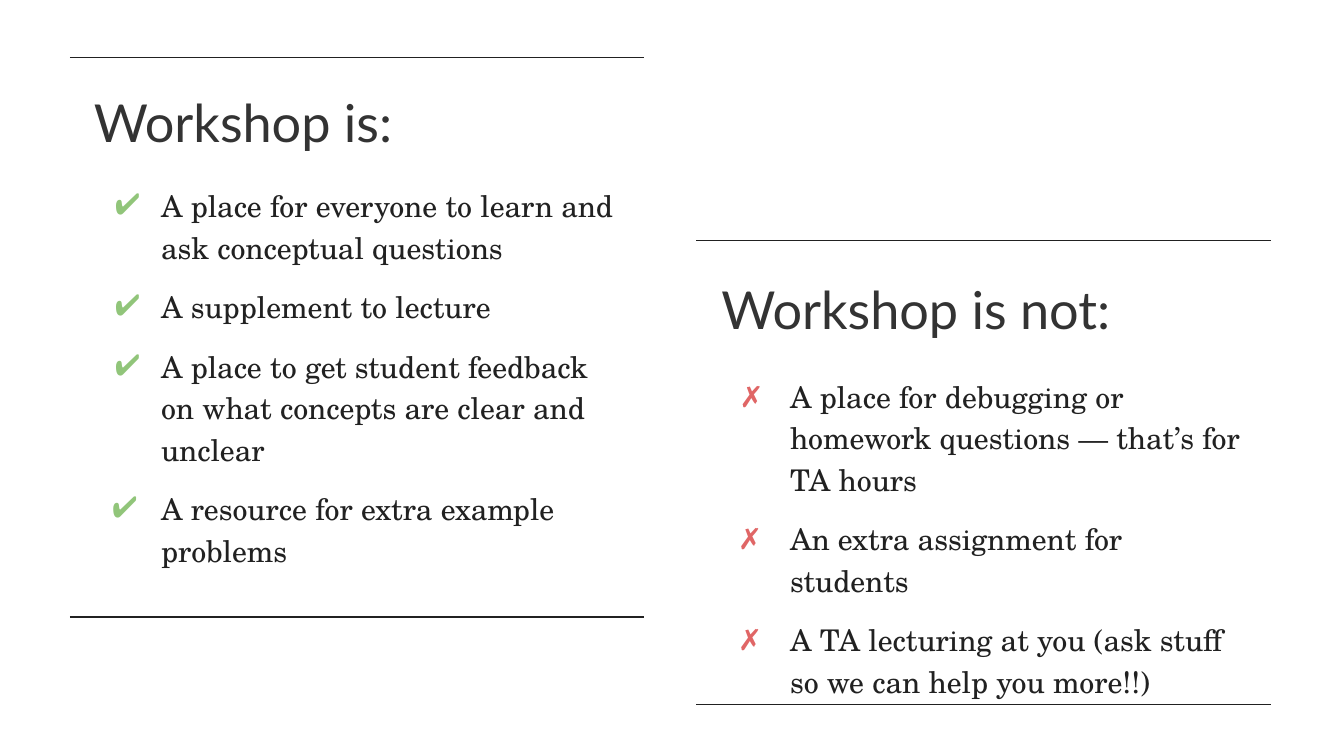
from lxml import etree
from pptx import Presentation
from pptx.dml.color import RGBColor
from pptx.enum.shapes import MSO_CONNECTOR
from pptx.enum.text import MSO_ANCHOR
from pptx.oxml.ns import qn
from pptx.util import Inches, Pt

INK = RGBColor(0x21, 0x21, 0x21)
HEADING = RGBColor(0x33, 0x33, 0x33)
GREEN = RGBColor(0x91, 0xC5, 0x7A)
RED = RGBColor(0xE0, 0x66, 0x66)

IS_ITEMS = [
    ("A place for everyone to learn and ask conceptual questions", 0.34),
    ("A supplement to lecture", 0.34),
    ("A place to get student feedback on what concepts are clear and unclear", 0.34),
    ("A resource for extra example problems", 0.36),
]
IS_NOT_ITEMS = [
    ("A place for debugging or homework questions — that’s for TA hours", 0.35),
    ("An extra assignment for students", 0.36),
    ("A TA lecturing at you (ask stuff so we can help you more!!)", 0.36),
]


def add_rule(slide, left, top, width):
    line = slide.shapes.add_connector(
        MSO_CONNECTOR.STRAIGHT,
        Inches(left), Inches(top), Inches(left + width), Inches(top),
    )
    line.line.color.rgb = INK
    line.line.width = Pt(0.75)
    etree.SubElement(line._element.spPr, qn("a:effectLst"))


def add_text_frame(slide, left, top, width, height):
    box = slide.shapes.add_textbox(Inches(left), Inches(top), Inches(width), Inches(height))
    text_frame = box.text_frame
    text_frame.word_wrap = True
    text_frame.vertical_anchor = MSO_ANCHOR.TOP
    text_frame.margin_left = text_frame.margin_right = Inches(0.1)
    text_frame.margin_top = text_frame.margin_bottom = Inches(0.1)
    return text_frame


def style_run(paragraph, name, size, color):
    font = paragraph.runs[0].font
    font.name = name
    font.size = Pt(size)
    font.color.rgb = color


def add_bullet(paragraph, mark, color, hanging):
    properties = paragraph._p.get_or_add_pPr()
    properties.set("marL", str(Inches(0.5)))
    properties.set("indent", str(-Inches(hanging)))
    bullet_color = etree.SubElement(properties, qn("a:buClr"))
    etree.SubElement(bullet_color, qn("a:srgbClr"), val=str(color))
    etree.SubElement(properties, qn("a:buSzPct"), val="125000")
    etree.SubElement(properties, qn("a:buChar"), char=mark)


def add_list(slide, box, items, mark, color):
    text_frame = add_text_frame(slide, *box)
    for index, (text, hanging) in enumerate(items):
        paragraph = text_frame.add_paragraph() if index else text_frame.paragraphs[0]
        paragraph.text = text
        add_bullet(paragraph, mark, color, hanging)
        paragraph.line_spacing = 1.15
        if index:
            paragraph.space_before = Pt(10)
        style_run(paragraph, "TeX Gyre Schola", 16, INK)


def add_panel(slide, box, title, title_offset, body_offset, body_width, items, mark, color):
    """Place a heading and a marked list between two rules; offsets are (x, y) from the top rule."""
    left, top, width, height = box
    add_rule(slide, left, top, width)
    add_rule(slide, left, top + height, width)

    title_x, title_y = title_offset
    heading = add_text_frame(slide, left + title_x, top + title_y, 4.37, 0.63)
    heading.text = title
    style_run(heading.paragraphs[0], "Lato", 28, HEADING)

    body_x, body_y = body_offset
    body_box = (left + body_x, top + body_y, body_width, height - body_y)
    add_list(slide, body_box, items, mark, color)


def main():
    presentation = Presentation()
    presentation.slide_width = Inches(10)
    presentation.slide_height = Inches(10) * 9 // 16
    slide = presentation.slides.add_slide(presentation.slide_layouts[6])
    add_panel(slide, (0.52, 0.43, 4.27, 4.16), "Workshop is:",
              (0.08, 0.14), (0.08, 0.83), 4.17, IS_ITEMS, "✔", GREEN)
    add_panel(slide, (5.18, 1.79, 4.28, 3.45), "Workshop is not:",
              (0.09, 0.17), (0.1, 0.89), 4.08, IS_NOT_ITEMS, "✗", RED)
    presentation.save("out.pptx")


if __name__ == "__main__":
    main()
